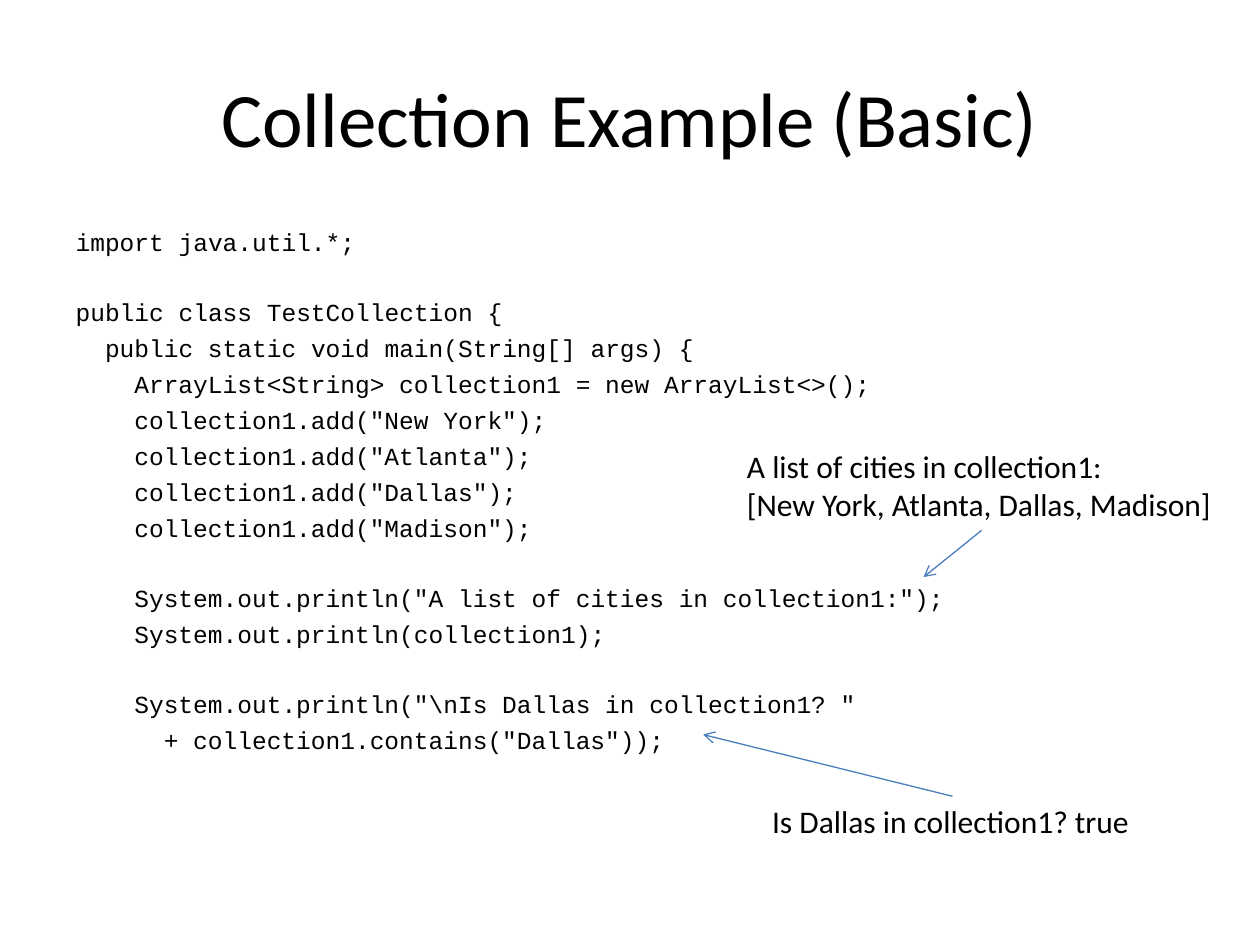
from pptx import Presentation
from pptx.dml.color import RGBColor
from pptx.enum.shapes import MSO_CONNECTOR
from pptx.enum.text import MSO_ANCHOR, MSO_AUTO_SIZE, PP_ALIGN
from pptx.oxml.ns import qn
from pptx.util import Inches, Pt
from lxml import etree

STRAIGHT = MSO_CONNECTOR.STRAIGHT
MIDDLE = MSO_ANCHOR.MIDDLE
NO_FIT, GROW = MSO_AUTO_SIZE.NONE, MSO_AUTO_SIZE.SHAPE_TO_FIT_TEXT
CENTER, LEFT = PP_ALIGN.CENTER, PP_ALIGN.LEFT
COLORS = {"text": "000000", "arrow": "4B7EBC"}
CODE_INDENT = Pt(16.8)
LINE_GAP, BLOCK_GAP = 3.73, 23.32


def place(sp, left, top, width, height):
    sp.left, sp.top = Inches(left), Inches(top)
    sp.width, sp.height = Inches(width), Inches(height)


def format_text(tf, size, font, align=LEFT):
    for p in tf.paragraphs:
        p.alignment = align
        for r in p.runs:
            r.font.size = Pt(size)
            r.font.name = font
            r.font.color.rgb = RGBColor.from_string(COLORS["text"])


prs = Presentation()
prs.slide_width, prs.slide_height = Inches(10), Inches(7.5)
s = prs.slides.add_slide(prs.slide_layouts[1])

title = s.shapes.title
place(title, 0.5, 0.3, 9, 1.25)
title.text_frame.text = "Collection Example (Basic)"
title.text_frame.vertical_anchor = MIDDLE
format_text(title.text_frame, 44, "Calibri", CENTER)

code_blocks = [
    [(0, "import java.util.*;")],
    [
        (0, "public class TestCollection {"),
        (1, "public static void main(String[] args) {"),
        (2, "ArrayList<String> collection1 = new ArrayList<>();"),
        (2, 'collection1.add("New York");'),
        (2, 'collection1.add("Atlanta");'),
        (2, 'collection1.add("Dallas");'),
        (2, 'collection1.add("Madison");'),
    ],
    [
        (2, 'System.out.println("A list of cities in collection1:");'),
        (2, "System.out.println(collection1);"),
    ],
    [
        (2, 'System.out.println("\\nIs Dallas in collection1? "'),
        (3, '+ collection1.contains("Dallas"));'),
    ],
]
body = s.placeholders[1]
place(body, 0.5, 1.75, 9, 4.95)
tf = body.text_frame
tf.auto_size = NO_FIT
tf.text = "\n".join(line for block in code_blocks for _, line in block)
format_text(tf, 14, "Courier New")
paragraphs = iter(tf.paragraphs)
for block in code_blocks:
    for i, (depth, _) in enumerate(block):
        p = next(paragraphs)
        first_block = block is code_blocks[0]
        p.space_before = Pt(LINE_GAP if i or first_block else BLOCK_GAP)
        pPr = p._p.get_or_add_pPr()
        pPr.set("marL", str(depth * CODE_INDENT))
        pPr.set("indent", "0")
        etree.SubElement(pPr, qn("a:buNone"))

outputs = [
    ("A list of cities in collection1:\n[New York, Atlanta, Dallas, Madison]",
     (5.83, 3.5, 3.92, 0.71), (7.79, 4.21, 7.33, 4.58)),
    ("Is Dallas in collection1? true",
     (6.03, 6.32, 3.07, 0.4), (7.56, 6.32, 5.58, 5.83)),
]
for text, box, ends in outputs:
    sp = s.shapes.add_textbox(*[Inches(v) for v in box])
    tf = sp.text_frame
    tf.word_wrap = False
    tf.auto_size = GROW
    tf.text = text
    format_text(tf, 18, "Calibri")

    arrow = s.shapes.add_connector(STRAIGHT, *[Inches(v) for v in ends])
    arrow.line.color.rgb = RGBColor.from_string(COLORS["arrow"])
    arrow.line.width = Pt(0.75)
    etree.SubElement(arrow.line._get_or_add_ln(), qn("a:tailEnd"), type="arrow")
    etree.SubElement(arrow._element.spPr, qn("a:effectLst"))

prs.save("out.pptx")
